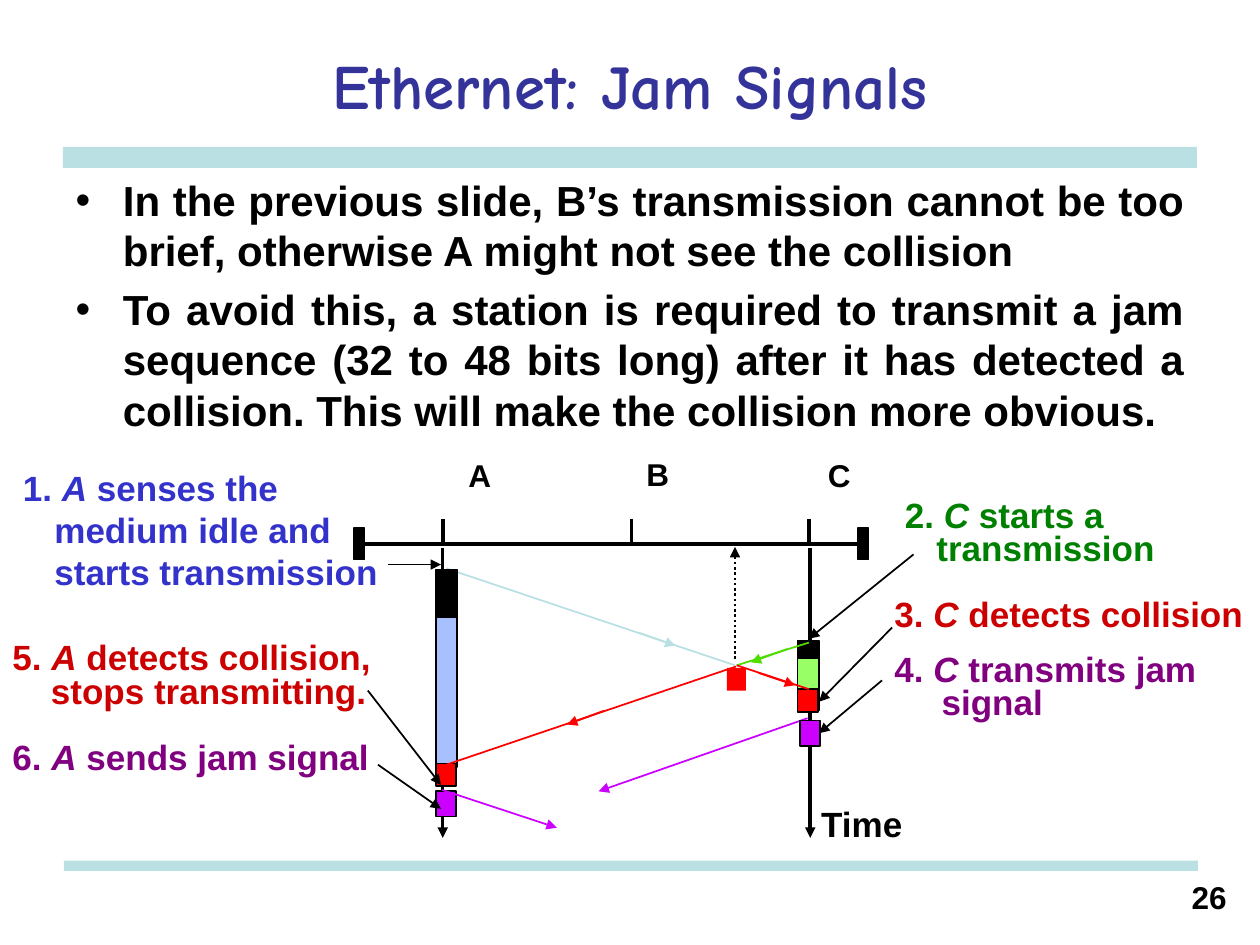
from lxml import etree
from pptx import Presentation
from pptx import util as u
from pptx.dml.color import RGBColor
from pptx.enum import dml, shapes, text
from pptx.oxml.ns import qn

Pt = u.Pt
HUES = {
    "black": "000000", "pale": "BBE0E3", "title": "333399", "blue": "3333CC",
    "green": "008000", "brick": "CC0000", "plum": "800080", "sky": "A8C1FE",
    "lime": "99FF66", "leaf": "51DC00", "red": "FF0000", "pink": "CC00FF",
}
ALIGN = text.PP_ALIGN


def hue(name):
    return RGBColor.from_string(HUES[name])


def write(frame, words, size=20, color="black", font="Arial", align=ALIGN.LEFT,
          hang=0, lines=1.0, before=0, bullet=False):
    para = frame.paragraphs[0]
    if para.runs:
        para = frame.add_paragraph()
    para.alignment = align
    para.line_spacing = lines
    para.space_before = Pt(before)
    para.space_after = Pt(0)
    props = para._p.get_or_add_pPr()
    props.set("marL", str(Pt(hang)))
    props.set("indent", str(-Pt(hang)))
    if bullet:
        etree.SubElement(props, qn("a:buChar")).set("char", "•")
    for row, line in enumerate(words.split("\n")):
        if row:
            para.add_line_break()
        for part, piece in enumerate(line.split("_")):
            if piece:
                run = para.add_run()
                run.text = piece
                run.font.name = font
                run.font.size = Pt(size)
                run.font.bold = True
                run.font.italic = part % 2 == 1
                run.font.color.rgb = hue(color)


def place(shape, box):
    shape.left, shape.top, shape.width, shape.height = map(Pt, box)
    frame = shape.text_frame
    frame.word_wrap = True
    frame.auto_size = text.MSO_AUTO_SIZE.NONE
    return frame


def label(slide, box, words, **form):
    frame = place(slide.shapes.add_textbox(0, 0, 0, 0), box)
    write(frame, words, **form)
    return frame


def block(slide, box, fill, edge=True):
    rect = slide.shapes.add_shape(shapes.MSO_SHAPE.RECTANGLE, *map(Pt, box))
    rect.shadow.inherit = False
    rect.fill.solid()
    rect.fill.fore_color.rgb = hue(fill)
    if edge:
        rect.line.color.rgb = hue("black")
        rect.line.width = Pt(1)
    else:
        rect.line.fill.background()


def stroke(slide, box, ends, color="black", width=1, arrow=False, dots=False):
    x, y = box[:2]
    x1, y1, x2, y2 = ends
    line = slide.shapes.add_connector(
        shapes.MSO_CONNECTOR.STRAIGHT, Pt(x + x1), Pt(y + y1), Pt(x + x2), Pt(y + y2))
    line.line.color.rgb = hue(color)
    line.line.width = Pt(width)
    if dots:
        line.line.dash_style = dml.MSO_LINE.ROUND_DOT
    if arrow:
        etree.SubElement(line.line._get_or_add_ln(), qn("a:tailEnd")).set("type", "triangle")
    etree.SubElement(line._element.spPr, qn("a:effectLst"))


def header(slide, box):
    x, y, w, h = box
    frame = place(slide.shapes.title, box)
    frame.vertical_anchor = text.MSO_ANCHOR.MIDDLE
    write(frame, "Ethernet: Jam Signals", size=36, color="title",
          font="Comic Neue", align=ALIGN.CENTER)
    block(slide, (x, y + h, w, 12), "pale", edge=False)


def points(slide, box):
    frame = place(slide.placeholders[1], box)
    frame.vertical_anchor = text.MSO_ANCHOR.TOP
    items = (
        "In the previous slide, B’s transmission cannot be too brief, "
        "otherwise A might not see the collision",
        "To avoid this, a station is required to transmit a jam sequence "
        "(32 to 48 bits long) after it has detected a collision. "
        "This will make the collision more obvious.",
    )
    for row, item in enumerate(items):
        write(frame, item, size=24, align=ALIGN.JUSTIFY, hang=27,
              before=4.8 if row else 0, bullet=True)


def footer(slide, box):
    x, y, w, h = box
    block(slide, (x, y, w, 5.8), "pale", edge=False)
    label(slide, (x + w - 24.5, y + 6.5, 48, 30), "26", size=18, align=ALIGN.RIGHT)


def bus(slide, box):
    x, y = box[:2]
    stroke(slide, box, (3.8, 55, 292, 55), width=2)
    for name, tick, left, top in (("A", 53.2, 60.6, 1), ("B", 160.8, 162.2, 0.4),
                                  ("C", 262.4, 266, 1)):
        stroke(slide, box, (tick, 40.5, tick, 54.5), width=2)
        label(slide, (x + left, y + top, 32, 36), name, size=18)
    for left in (2.3, 290.3):
        block(slide, (x + left, y + 45.7, 6, 18), "black")
    for axis in (53, 263):
        stroke(slide, box, (axis, 57.2, axis, 222.8), width=2, arrow=True)
    label(slide, (x + 262.2, y + 199, 72, 31), "Time")


def signals(slide, box):
    x, y = box[:2]

    def beam(color, *ends):
        stroke(slide, box, ends, color)

    def head(color, *ends):
        stroke(slide, box, ends, color, arrow=True)

    def bar(fill, left, top, wide, high, edge=True):
        block(slide, (x + left, y + top, wide, high), fill, edge)

    beam("pale", 220, 124.2, 55, 68.8)
    head("pale", 165, 105.5, 186, 113)
    bar("sky", 49.1, 78.1, 12.2, 104.4)
    bar("black", 49.1, 69.4, 12.2, 27.4)
    bar("lime", 255.8, 110.5, 12.2, 39.6)
    bar("black", 255.8, 110.5, 12.2, 9.4)
    stroke(slide, box, (220, 120.6, 220, 56.5), width=1.5, arrow=True, dots=True)
    bar("red", 215.4, 125.6, 10.8, 13, edge=False)
    head("leaf", 250, 114.8, 229, 122.5)
    beam("leaf", 262.2, 111.2, 221, 124.2)
    bar("red", 49.1, 180.3, 11.5, 13)
    bar("red", 255.8, 137.8, 11.5, 13)
    head("red", 233.4, 128.5, 254.4, 135.6)
    beam("red", 221, 124.2, 262.2, 137.8)
    head("red", 145, 150.2, 124, 158)
    beam("red", 220.5, 124.9, 55, 181)
    bar("pink", 49.1, 196.2, 11.5, 14.4)
    head("pink", 261.5, 154.4, 142, 196.2)
    head("pink", 52.7, 195.4, 118.2, 217)
    bar("pink", 257.2, 155.8, 11.5, 14.4)


def callouts(slide, box):
    for ends in ((21.8, 66.6, 52, 66.6), (322, 60.8, 262.2, 109),
                 (309.8, 102.6, 268, 145), (304, 132.8, 268, 163),
                 (10.2, 138.6, 52, 192.6), (16, 181, 52, 206.2)):
        stroke(slide, box, ends, arrow=True)


def left_notes(slide, box):
    x, y = box[:2]
    label(slide, (x + 6, y, 222, 79), "1. _A_ senses the medium idle and starts transmission",
          color="blue", hang=18)
    frame = label(slide, (x, y + 101.5, 234, 84),
                  "5. _A_ detects collision,\nstops transmitting.",
                  color="brick", hang=22, lines=0.8)
    write(frame, "6. _A_ sends jam signal", color="plum", lines=0.8, before=18.6)


def right_notes(slide, box):
    x, y = box[:2]
    label(slide, (x + 6, y, 168, 46), "2. _C_ starts a transmission",
          color="green", hang=18, lines=0.8)
    label(slide, (x, y + 52, 216, 31), "3. _C_ detects collision", color="brick")
    label(slide, (x, y + 88, 196.5, 46), "4. _C_ transmits jam signal",
          color="plum", hang=27, lines=0.8)


def main():
    deck = Presentation()
    deck.slide_width, deck.slide_height = Pt(720), Pt(540)
    slide = deck.slides.add_slide(deck.slide_layouts[1])
    header(slide, (36, 12, 648, 72))
    points(slide, (36, 96, 648, 396))
    footer(slide, (36.5, 491.8, 648, 36))
    chart = (200, 256, 300, 224)
    bus(slide, chart)
    signals(slide, chart)
    callouts(slide, chart)
    left_notes(slide, (0, 263, 234, 186))
    right_notes(slide, (504, 283, 216, 134))
    deck.save("out.pptx")


if __name__ == "__main__":
    main()
